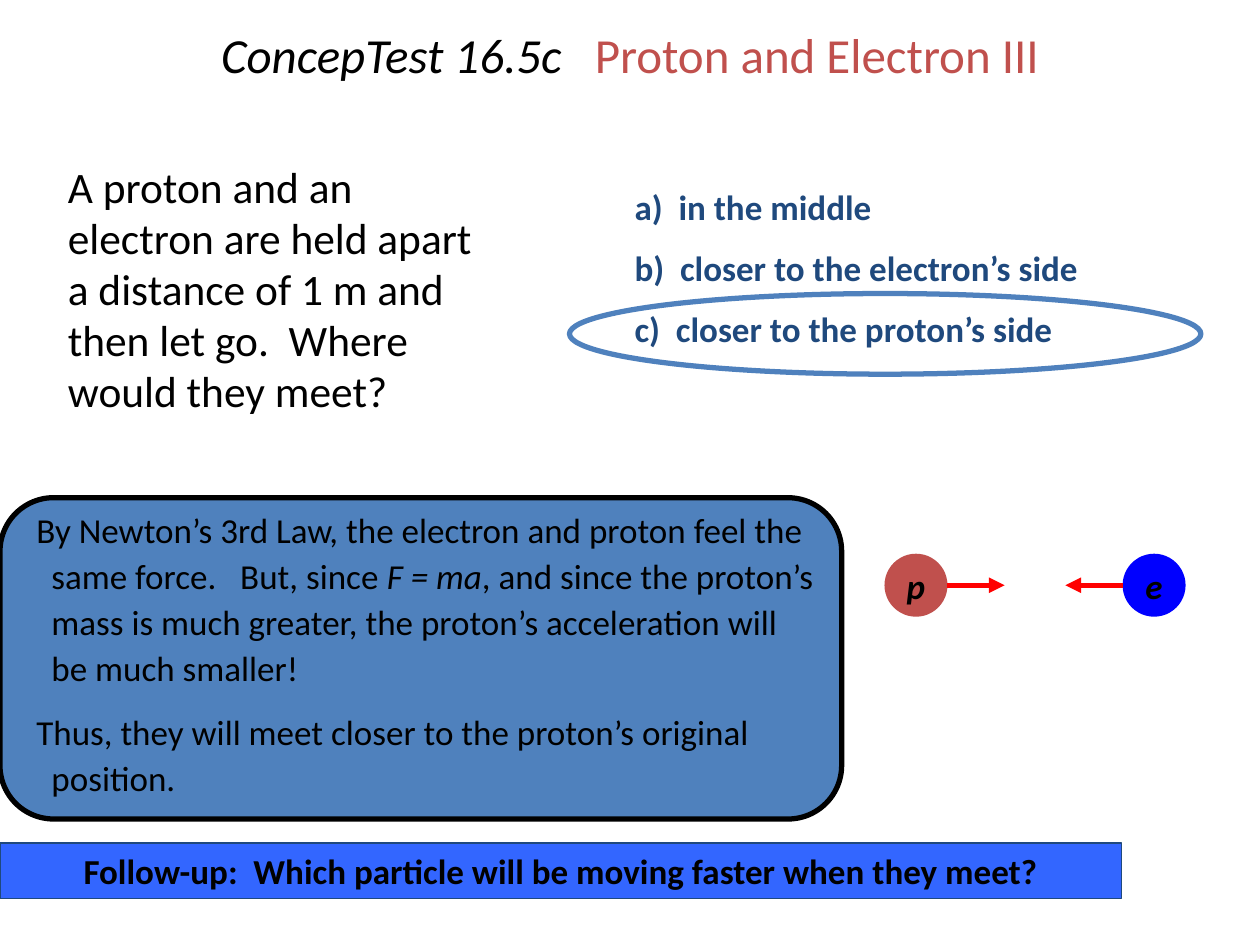
from collections import namedtuple

from lxml.etree import SubElement
from pptx import Presentation
from pptx.dml.color import RGBColor
from pptx.enum.shapes import MSO_CONNECTOR, MSO_SHAPE
from pptx.enum.text import MSO_ANCHOR, PP_ALIGN
from pptx.oxml.ns import qn
from pptx.util import Inches, Pt

UNIT = 0.1  # inches per grid cell: 100 columns by 75 rows
COLS, ROWS = 100, 75
COLORS = {
    "text": "000000", "heading": "C0504D", "answer": "1F497D",
    "panel": "4F81BD", "proton": "C0504D", "electron": "0000FF",
    "force": "FF0000", "follow_up": "3366FF",
}
Box = namedtuple("Box", "x y w h")


def cells(n):
    return Inches(n * UNIT)


def part(box, x=0, y=0, w=1, h=1):
    """Return the box at the given shares of another box."""
    return Box(box.x + x * box.w, box.y + y * box.h, w * box.w, h * box.h)


def color(name):
    return RGBColor.from_string(COLORS[name])


def write(tf, paras, size=20, ink="text", bold=False, align=PP_ALIGN.LEFT,
          anchor=MSO_ANCHOR.TOP, spacing=1.0, before=0, left=0, first=0,
          insets=(1, 0.5), wrap=True):
    """Fill a frame; each paragraph is a list of (text, font changes) runs."""
    tf.word_wrap = wrap
    tf.vertical_anchor = anchor
    tf.margin_left = tf.margin_right = cells(insets[0])
    tf.margin_top = tf.margin_bottom = cells(insets[1])
    for i, runs in enumerate(paras):
        p = tf.add_paragraph() if i else tf.paragraphs[0]
        p.alignment = align
        p.line_spacing = spacing
        p.space_before = Pt(before if i else 0)
        pPr = p._p.get_or_add_pPr()
        pPr.set("marL", str(cells(left)))
        pPr.set("indent", str(cells(first)))
        for text, changes in runs:
            r = p.add_run()
            r.text = text
            r.font.name = "Calibri"
            r.font.size = Pt(size)
            r.font.bold = bold
            r.font.italic = changes.get("italic", False)
            r.font.color.rgb = color(changes.get("ink", ink))


def add_text(s, box, paras, **fmt):
    sp = s.shapes.add_textbox(*map(cells, box))
    write(sp.text_frame, paras, **fmt)


def add_shape(s, kind, box, fill=None, line=None, width=3):
    sp = s.shapes.add_shape(kind, *map(cells, box))
    sp.shadow.inherit = False
    if fill:
        sp.fill.solid()
        sp.fill.fore_color.rgb = color(fill)
    else:
        sp.fill.background()
    if line:
        sp.line.color.rgb = color(line)
        sp.line.width = Pt(width)
    else:
        sp.line.fill.background()
    return sp


def add_arrow(s, x1, x2, y):
    c = s.shapes.add_connector(MSO_CONNECTOR.STRAIGHT,
                               *map(cells, (x1, y, x2, y)))
    c.line.color.rgb = color("force")
    c.line.width = Pt(3)
    SubElement(c.line._get_or_add_ln(), qn("a:tailEnd"), type="triangle")
    SubElement(c._element.spPr, qn("a:effectLst"))


def add_title(s, box):
    runs = [("ConcepTest 16.5c   ", {"italic": True}),
            ("Proton and Electron III", {"ink": "heading"})]
    add_text(s, box, [runs], size=28, align=PP_ALIGN.CENTER,
             anchor=MSO_ANCHOR.MIDDLE, spacing=0.9)


def add_question(s, box):
    text = ("A proton and an electron are held apart a distance of 1 m and "
            "then let go.  Where would they meet?")
    add_text(s, box, [[(text, {})]], size=24.8, spacing=0.98, left=4.4)


def add_answers(s, box):
    """List the answers and ring the right one."""
    answers = ["a)  in the middle", "b)  closer to the electron’s side",
               "c)  closer to the proton’s side"]
    add_text(s, part(box, x=0.08, w=0.92), [[(a, {})] for a in answers],
             ink="answer", bold=True, spacing=1.2, before=6,
             left=4.4, first=-4.4)
    add_shape(s, MSO_SHAPE.OVAL, part(box, y=0.5, w=0.96, h=0.33),
              line="panel")


def add_explanation(s, box):
    add_shape(s, MSO_SHAPE.ROUNDED_RECTANGLE, box, "panel", "text")
    paras = [
        [("By Newton’s 3rd Law, the electron and proton feel the same "
          "force.   But, since ", {}),
         ("F = ma", {"italic": True}),
         (", and since the proton’s mass is much greater, the proton’s "
          "acceleration will be much smaller!", {})],
        [("Thus, they will meet closer to the proton’s original position.",
          {})],
    ]
    add_text(s, part(box, w=0.985, h=0.97), paras, spacing=1.1, before=10,
             left=3.1, first=-1.2)


def add_particles(s, box):
    """Set a particle at each end, with force arrows pointing inwards."""
    d, reach = box.h, 0.19 * box.w
    right = box.x + box.w
    for name, label, x, start, step in (
            ("proton", "p", box.x, box.x + d, reach),
            ("electron", "e", right - d, right - d, -reach)):
        sp = add_shape(s, MSO_SHAPE.OVAL, Box(x, box.y, d, d), name)
        write(sp.text_frame, [[(label, {"italic": True})]], bold=True,
              align=PP_ALIGN.CENTER, anchor=MSO_ANCHOR.MIDDLE,
              insets=(0, 0), wrap=False)
        add_arrow(s, start, start + step, box.y + d / 2)


def add_follow_up(s, box):
    sp = add_shape(s, MSO_SHAPE.RECTANGLE, box, "follow_up", "answer", 0.75)
    text = "Follow-up:  Which particle will be moving faster when they meet?"
    write(sp.text_frame, [[(text, {})]], bold=True, align=PP_ALIGN.CENTER,
          anchor=MSO_ANCHOR.MIDDLE)


def main():
    prs = Presentation()
    prs.slide_width, prs.slide_height = cells(COLS), cells(ROWS)
    s = prs.slides.add_slide(prs.slide_layouts[6])
    add_explanation(s, Box(0, 39.5, 66.8, 25.5))
    add_title(s, Box(9.1, 0, 81.8, 9.2))
    add_question(s, Box(0, 12.4, 40.5, 23.3))
    add_answers(s, Box(45.2, 13.6, 52.2, 19.4))
    add_particles(s, Box(70.2, 43.95, 23.9, 5))
    add_follow_up(s, Box(0, 66.9, 89, 4.4))
    prs.save("out.pptx")


if __name__ == "__main__":
    main()
